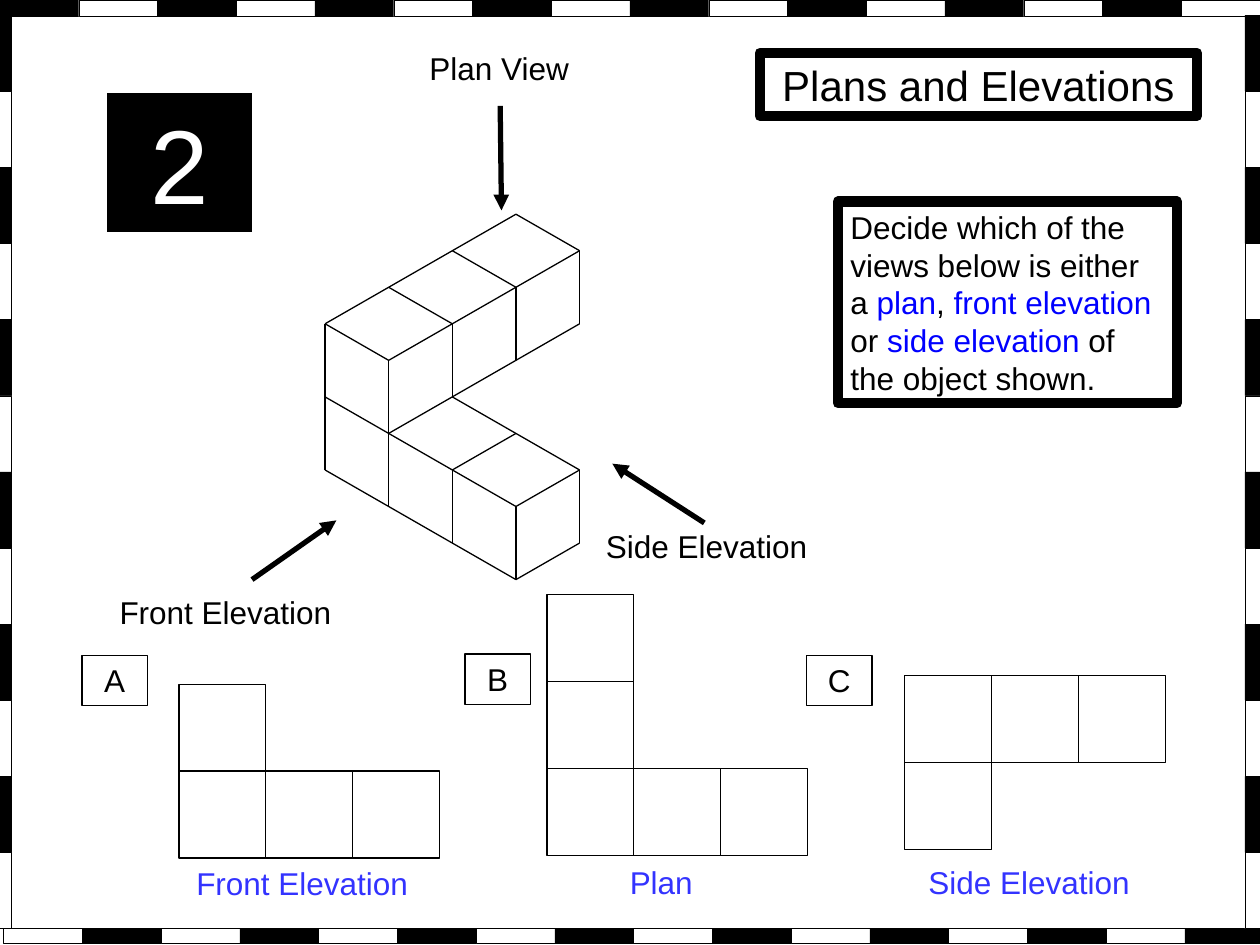
from lxml.etree import SubElement
from pptx import Presentation
from pptx.dml.color import RGBColor
from pptx.enum.shapes import MSO_CONNECTOR as Connector, MSO_SHAPE as Shape
from pptx.enum.text import MSO_ANCHOR as Anchor, MSO_AUTO_SIZE as AutoSize, PP_ALIGN as Align
from pptx.oxml.ns import qn
from pptx.util import Inches, Pt

BLACK = RGBColor(0x00, 0x00, 0x00)
WHITE = RGBColor(0xFF, 0xFF, 0xFF)
BLUE = RGBColor(0x00, 0x00, 0xFF)
ANSWER_BLUE = RGBColor(0x33, 0x33, 0xFF)
CELL = 0.69
CUBE_X, CUBE_Y, CUBE_HEIGHT = 0.505, 0.29, 0.58

ARROWS = [
    ("Front Elevation", (0.85, 4.66, 1.95, 0.4), (2, 4.6), (2.67, 4.13)),
    ("Side Elevation", (4.71, 4.13, 1.95, 0.4), (5.59, 4.15), (4.86, 3.68)),
    ("Plan View", (3.31, 0.34, 1.4, 0.4), (3.97, 0.84), (3.98, 1.67)),
]
VIEWS = [
    ("A", (0.65, 5.2), (1.42, 5.43), ["X", "XXX"], "Front Elevation", (1.46, 6.81)),
    ("B", (3.69, 5.19), (4.34, 4.72), ["X", "X", "XXX"], "Plan", (4.9, 6.8)),
    ("C", (6.4, 5.2), (7.18, 5.36), ["XXX", "X"], "Side Elevation", (7.27, 6.8)),
]
CUBE_EDGES = [
    ((0, 0, 0), (3, 0, 0)), ((0, 0, 1), (3, 0, 1)), ((1, 1, 1), (3, 1, 1)),
    ((0, 0, 2), (1, 0, 2)), ((0, 1, 2), (1, 1, 2)), ((0, 2, 2), (1, 2, 2)),
    ((0, 3, 2), (1, 3, 2)), ((3, 0, 0), (3, 1, 0)), ((3, 0, 1), (3, 1, 1)),
    ((2, 0, 1), (2, 1, 1)), ((1, 0, 1), (1, 3, 1)), ((1, 0, 2), (1, 3, 2)),
    ((0, 0, 2), (0, 3, 2)), ((0, 0, 0), (0, 0, 2)), ((1, 0, 0), (1, 0, 2)),
    ((2, 0, 0), (2, 0, 1)), ((3, 0, 0), (3, 0, 1)), ((3, 1, 0), (3, 1, 1)),
    ((1, 1, 1), (1, 1, 2)), ((1, 2, 1), (1, 2, 2)), ((1, 3, 1), (1, 3, 2)),
]
TASK = [
    ("Decide which of the views below is either a ", BLACK), ("plan", BLUE),
    (", ", BLACK), ("front elevation", BLUE), (" or ", BLACK),
    ("side elevation", BLUE), (" of the object shown.", BLACK),
]


def add_rect(page, box, fill=None, line=0.75):
    """Add a rectangle with an optional fill and a black outline."""
    rect = page.shapes.add_shape(Shape.RECTANGLE, *map(Inches, box))
    rect.shadow.inherit = False
    if fill is None:
        rect.fill.background()
    else:
        rect.fill.solid()
        rect.fill.fore_color.rgb = fill
    if line:
        rect.line.color.rgb = BLACK
        rect.line.width = Pt(line)
    else:
        rect.line.fill.background()
    return rect


def write(shape, spans, size=18, align=Align.LEFT, anchor=Anchor.TOP):
    """Write one paragraph of coloured spans into a shape."""
    frame = shape.text_frame
    frame.word_wrap = True
    frame.auto_size = AutoSize.NONE
    frame.vertical_anchor = anchor
    para = frame.paragraphs[0]
    para.alignment = align
    para.space_before = Pt(0)
    para.font.name = "Arial"
    para.font.size = Pt(size)
    for text, color in spans:
        span = para.add_run()
        span.text = text
        span.font.color.rgb = color


def add_label(page, box, text, color=BLACK):
    """Add a plain text label."""
    write(page.shapes.add_textbox(*map(Inches, box)), [(text, color)])


def add_line(page, start, end, width=0.75, arrow=False):
    """Add a straight black line, with an arrowhead if asked."""
    line = page.shapes.add_connector(Connector.STRAIGHT, *map(Inches, (*start, *end)))
    line.line.color.rgb = BLACK
    line.line.width = Pt(width)
    if arrow:
        SubElement(line.line._get_or_add_ln(), qn("a:tailEnd"), type="triangle")
    SubElement(line._element.spPr, qn("a:effectLst"))


def add_title(page, box):
    """Place and frame the title placeholder."""
    title = page.shapes.title
    title.left, title.top, title.width, title.height = map(Inches, box)
    title.line.color.rgb = BLACK
    title.line.width = Pt(6)
    write(title, [("Plans and Elevations", BLACK)], 24, Align.CENTER)


def add_border(page, box, count, colors, vertical=False):
    """Fill a strip with tiles of alternating colours."""
    left, top, width, height = box
    step_x, step_y = (0, height / count) if vertical else (width / count, 0)
    for index in range(count):
        tile = (left + index * step_x, top + index * step_y, step_x or width, step_y or height)
        add_rect(page, tile, colors[index % 2], 0.25)


def add_cubes(page, left, top):
    """Draw the isometric solid from the lower left corner of its front."""
    def project(point):
        """Turn lattice coordinates into a position on the page."""
        right, back, up = point
        return (left + CUBE_X * (right + back),
                top + CUBE_Y * (right - back) - CUBE_HEIGHT * up)

    for start, end in CUBE_EDGES:
        add_line(page, project(start), project(end))


def add_view(page, letter, letter_at, grid_at, rows, answer, answer_at):
    """Draw one lettered view with its squares and its answer."""
    write(add_rect(page, (*letter_at, 0.52, 0.4)), [(letter, BLACK)], align=Align.CENTER)
    left, top = grid_at
    for row, squares in enumerate(rows):
        for column in range(len(squares)):
            add_rect(page, (left + column * CELL, top + row * CELL, CELL, CELL))
    add_label(page, (*answer_at, 2.2, 0.4), answer, ANSWER_BLUE)


def main():
    """Build the slide and save it."""
    deck = Presentation()
    deck.slide_width, deck.slide_height = Inches(10), Inches(7.5)
    page = deck.slides.add_slide(deck.slide_layouts[5])
    add_title(page, (6.03, 0.42, 3.47, 0.5))
    for text, box, start, end in ARROWS:
        add_label(page, box, text)
        add_line(page, start, end, 3, arrow=True)
    for view in VIEWS:
        add_view(page, *view)
    write(add_rect(page, (6.65, 1.6, 2.69, 1.6), line=6), TASK)
    add_border(page, (0, 0, 10, 0.13), 16, (BLACK, WHITE))
    add_border(page, (0.03, 7.37, 10, 0.12), 16, (WHITE, BLACK))
    for left in (9.88, -0.03):
        add_border(page, (left, 0.12, 0.12, 7.25), 12, (BLACK, WHITE), vertical=True)
    add_cubes(page, 2.58, 3.73)
    number = add_rect(page, (0.85, 0.74, 1.15, 1.1), BLACK, line=0)
    write(number, [("2", WHITE)], 60, Align.CENTER)
    deck.save("out.pptx")


if __name__ == "__main__":
    main()
